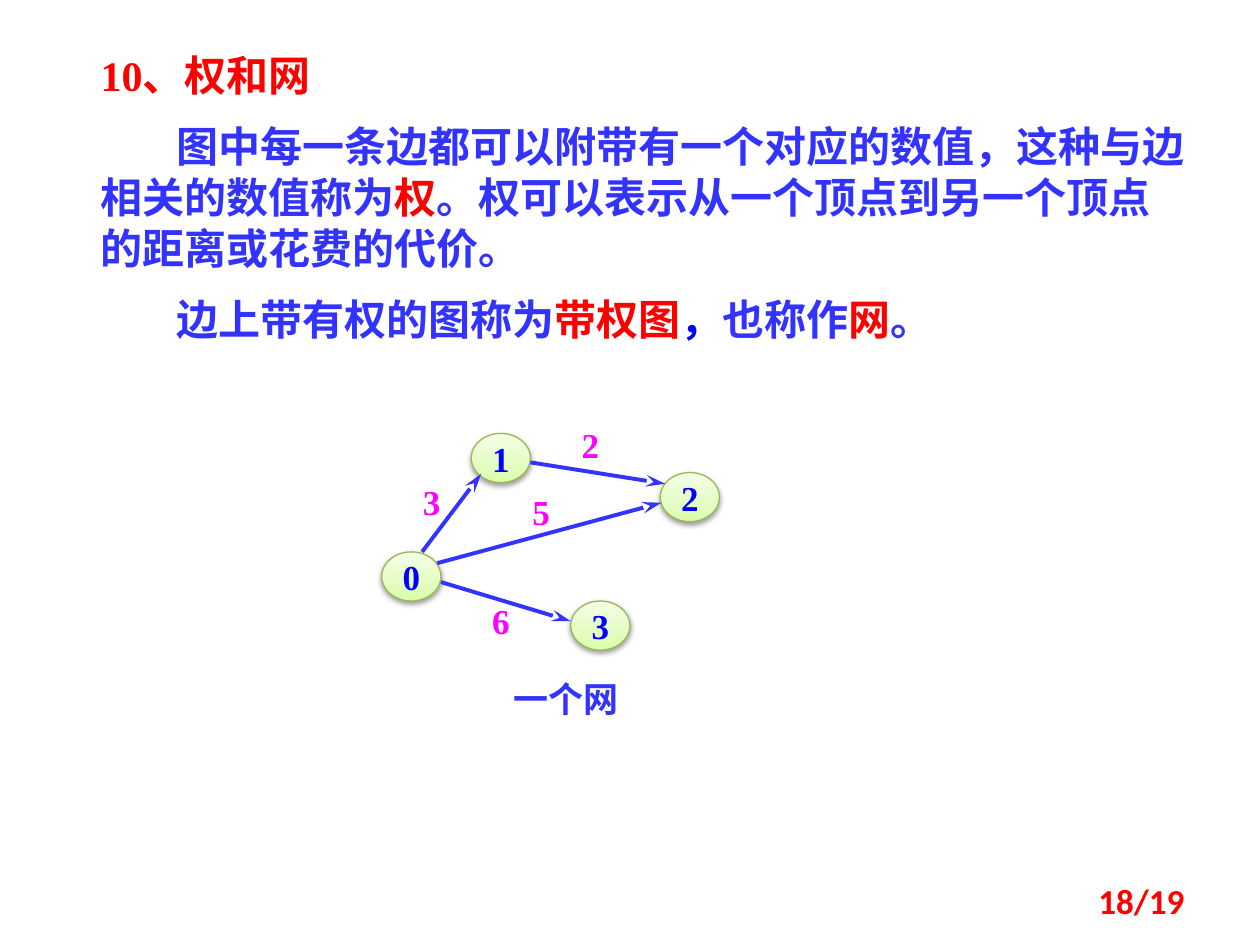
"""Build the slide on edge weights and weighted graphs (networks)."""
from typing import NamedTuple

from lxml import etree
from pptx import Presentation
from pptx.dml.color import RGBColor
from pptx.enum.shapes import MSO_CONNECTOR, MSO_SHAPE
from pptx.enum.text import MSO_ANCHOR, PP_ALIGN
from pptx.oxml import parse_xml
from pptx.oxml.ns import nsdecls, qn
from pptx.util import Inches, Pt

ELLIPSE = MSO_SHAPE.OVAL
STRAIGHT = MSO_CONNECTOR.STRAIGHT
TOP, MIDDLE = MSO_ANCHOR.TOP, MSO_ANCHOR.MIDDLE
LEFT, CENTER, RIGHT = PP_ALIGN.LEFT, PP_ALIGN.CENTER, PP_ALIGN.RIGHT

COLORS = {
    "term": "FF0000",
    "body": "3333FF",
    "vertex": "0000FF",
    "weight": "FF00FF",
    "outline": "98B955",
    "shadow": "000000",
}
VERTEX_GRADIENT = ((0, "DAFDA7"), (35, "E4FCC2"), (100, "F5FFE7"))
SERIF, CJK, SANS = "Times New Roman", "Noto Sans CJK SC", "Calibri"
VERTEX_WIDTH, VERTEX_HEIGHT, WEIGHT_HEIGHT = 0.47, 0.39, 0.33


class Span(NamedTuple):
    text: str
    color: str = "body"


class Vertex(NamedTuple):
    label: str
    left: float
    top: float


class Edge(NamedTuple):
    weight: str
    start: tuple[float, float]
    end: tuple[float, float]
    weight_at: tuple[float, float]


EXPLANATION = [
    ([Span("10、权和网", "term")], 0),
    ([Span("图中每一条边都可以附带有一个对应的数值，这种与边相关的数值称为"),
      Span("权", "term"),
      Span("。权可以表示从一个顶点到另一个顶点的距离或花费的代价。")], 0.6),
    ([Span("边上带有权的图称为"), Span("带权图", "term"), Span("，", "vertex"),
      Span("也称作"), Span("网", "term"), Span("。")], 0.6),
]
VERTICES = [
    Vertex("1", 3.74, 3.44),
    Vertex("2", 5.24, 3.75),
    Vertex("0", 3.03, 4.38),
    Vertex("3", 4.53, 4.77),
]
EDGES = [
    Edge("3", (3.35, 4.38), (3.82, 3.76), (3.19, 3.81)),
    Edge("6", (3.5, 4.62), (4.53, 4.93), (3.74, 4.76)),
    Edge("5", (3.47, 4.47), (5.25, 3.99), (4.06, 3.89)),
    Edge("2", (4.21, 3.67), (5.28, 3.84), (4.45, 3.36)),
]


def rgb(name: str) -> RGBColor:
    return RGBColor.from_string(COLORS[name])


def write_paragraph(paragraph, spans: list[Span], *, size: float = 20,
                    font: str = SERIF, align=LEFT, indent: float = 0,
                    before: float = 0, line: float | None = None) -> None:
    paragraph.alignment = align
    paragraph.space_before = Pt(before)
    if line:
        paragraph.line_spacing = Pt(line)
    if indent:
        paragraph._p.get_or_add_pPr().set("indent", str(Inches(indent)))
    for span in spans:
        run = paragraph.add_run()
        run.text = span.text
        run.font.size, run.font.bold, run.font.name = Pt(size), True, font
        run.font.color.rgb = rgb(span.color)
        east_asian = etree.SubElement(run._r.get_or_add_rPr(), qn("a:ea"))
        east_asian.set("typeface", CJK)


def add_frame(slide, left: float, top: float, width: float, height: float, *,
              insets: tuple[float, float] = (0.1, 0.05), anchor=TOP):
    box = slide.shapes.add_textbox(
        Inches(left), Inches(top), Inches(width), Inches(height))
    frame = box.text_frame
    frame.word_wrap, frame.vertical_anchor = True, anchor
    frame.margin_left = frame.margin_right = Inches(insets[0])
    frame.margin_top = frame.margin_bottom = Inches(insets[1])
    return frame


def add_vertex(slide, vertex: Vertex) -> None:
    node = slide.shapes.add_shape(
        ELLIPSE, Inches(vertex.left), Inches(vertex.top),
        Inches(VERTEX_WIDTH), Inches(VERTEX_HEIGHT))
    node.line.color.rgb, node.line.width = rgb("outline"), Pt(0.75)
    properties = node._element.spPr
    stops = "".join(
        f'<a:gs pos="{percent * 1000}"><a:srgbClr val="{color}"/></a:gs>'
        for percent, color in VERTEX_GRADIENT)
    properties.find(qn("a:prstGeom")).addnext(parse_xml(
        f'<a:gradFill {nsdecls("a")} rotWithShape="1"><a:gsLst>{stops}</a:gsLst>'
        '<a:lin ang="16200000" scaled="0"/></a:gradFill>'))
    properties.append(parse_xml(
        f'<a:effectLst {nsdecls("a")}><a:outerShdw blurRad="{Pt(3.1)}" '
        f'dist="{Pt(1.6)}" dir="5400000" rotWithShape="0">'
        f'<a:srgbClr val="{COLORS["shadow"]}"><a:alpha val="38000"/>'
        '</a:srgbClr></a:outerShdw></a:effectLst>'))
    frame = node.text_frame
    frame.word_wrap, frame.vertical_anchor = False, MIDDLE
    write_paragraph(frame.paragraphs[0], [Span(vertex.label, "vertex")], align=CENTER)


def add_edge(slide, edge: Edge) -> None:
    arrow = slide.shapes.add_connector(
        STRAIGHT, *(Inches(value) for value in edge.start + edge.end))
    arrow.line.color.rgb, arrow.line.width = rgb("body"), Pt(2.25)
    arrow.line._get_or_add_ln().append(parse_xml(
        f'<a:tailEnd {nsdecls("a")} type="stealth" w="med" len="lg"/>'))
    etree.SubElement(arrow._element.spPr, qn("a:effectLst"))


def add_weight(slide, edge: Edge) -> None:
    frame = add_frame(slide, *edge.weight_at, VERTEX_WIDTH, WEIGHT_HEIGHT,
                      insets=(0, 0))
    write_paragraph(frame.paragraphs[0], [Span(edge.weight, "weight")], align=CENTER)


def build() -> None:
    presentation = Presentation()
    presentation.slide_width, presentation.slide_height = Inches(10), Inches(7.5)
    slide = presentation.slides.add_slide(presentation.slide_layouts[6])

    explanation = add_frame(slide, 0.7, 0.31, 8.86, 2.52, insets=(0.1, 0.08))
    for index, (spans, indent) in enumerate(EXPLANATION):
        paragraph = explanation.add_paragraph() if index else explanation.paragraphs[0]
        write_paragraph(paragraph, spans, size=24, indent=indent,
                        before=12 if index else 0, line=28.9)

    for vertex in VERTICES:
        add_vertex(slide, vertex)
    for edge in EDGES:
        add_edge(slide, edge)
    for edge in EDGES:
        add_weight(slide, edge)

    caption = add_frame(slide, 3.43, 5.32, 2.13, 0.44)
    write_paragraph(caption.paragraphs[0], [Span("一个网")], font=CJK,
                    align=CENTER, line=24.5)
    page_number = add_frame(slide, 7.17, 6.95, 2.33, 0.4, anchor=MIDDLE)
    write_paragraph(page_number.paragraphs[0], [Span("18/19", "term")],
                    font=SANS, align=RIGHT)

    presentation.save("out.pptx")


build()
